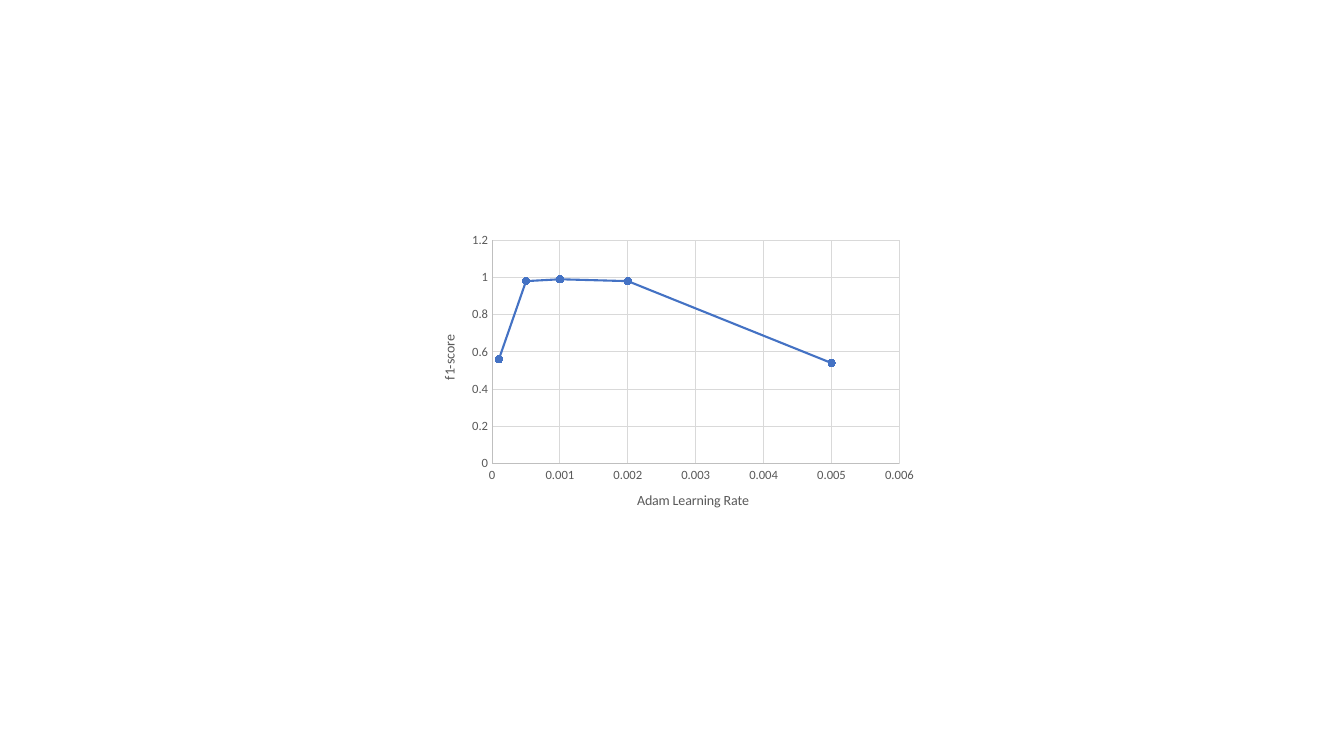
import pptx
import pptx.chart.data
import pptx.dml.color
import pptx.enum.chart
import pptx.util

Pt = pptx.util.Pt
BLUE, GREY, GRID, EDGE = "4472C4", "595959", "D9D9D9", "BFBFBF"
FONT = "Calibri"


def paint(part, color):
    """Give a fill or a font color a solid hex color."""
    part.solid()
    part.fore_color.rgb = pptx.dml.color.RGBColor.from_string(color)


def write(frame, text, size=10, color=GREY, bold=False):
    frame.text = text
    font = frame.paragraphs[0].runs[0].font
    font.name, font.size, font.bold = FONT, Pt(size), bold
    paint(font.fill, color)


deck = pptx.Presentation()
deck.slide_width, deck.slide_height = Pt(960), Pt(540)
slide = deck.slides.add_slide(deck.slide_layouts[6])

# Score at each learning rate
data = pptx.chart.data.XyChartData()
scores = data.add_series("Series 1")
for rate, score in [(0.0001, 0.56), (0.0005, 0.98), (0.001, 0.99),
                    (0.002, 0.98), (0.005, 0.54)]:
    scores.add_data_point(rate, score)

kind = pptx.enum.chart.XL_CHART_TYPE.XY_SCATTER_LINES
chart = slide.shapes.add_chart(kind, Pt(300), Pt(162), Pt(360), Pt(216), data).chart
chart.has_title = False
chart.has_legend = False
chart.font.name, chart.font.size = FONT, Pt(10)
chart.plots[0].vary_by_categories = False

# Curve and markers
curve = chart.plots[0].series[0]
curve.smooth = False
curve.format.line.width = Pt(1.5)
paint(curve.format.line.fill, BLUE)
marker = curve.marker
marker.style = pptx.enum.chart.XL_MARKER_STYLE.CIRCLE
marker.size = 5
paint(marker.format.fill, BLUE)
paint(marker.format.line.fill, BLUE)

# Axes
for axis, name, top, step in [
    (chart.category_axis, "Adam Learning Rate", 0.006, 0.001),
    (chart.value_axis, "f1-score", 1.2, 0.2),
]:
    write(axis.axis_title.text_frame, name)
    axis.minimum_scale, axis.maximum_scale, axis.major_unit = 0, top, step
    axis.major_tick_mark = axis.minor_tick_mark = pptx.enum.chart.XL_TICK_MARK.NONE
    labels = axis.tick_labels
    labels.number_format, labels.number_format_is_linked = "General", False
    labels.font.name, labels.font.size = FONT, Pt(9)
    paint(labels.font.fill, GREY)
    axis.has_major_gridlines = True
    for line, color in [(axis.format.line, EDGE),
                        (axis.major_gridlines.format.line, GRID)]:
        line.width = Pt(0.75)
        paint(line.fill, color)

deck.save("out.pptx")
